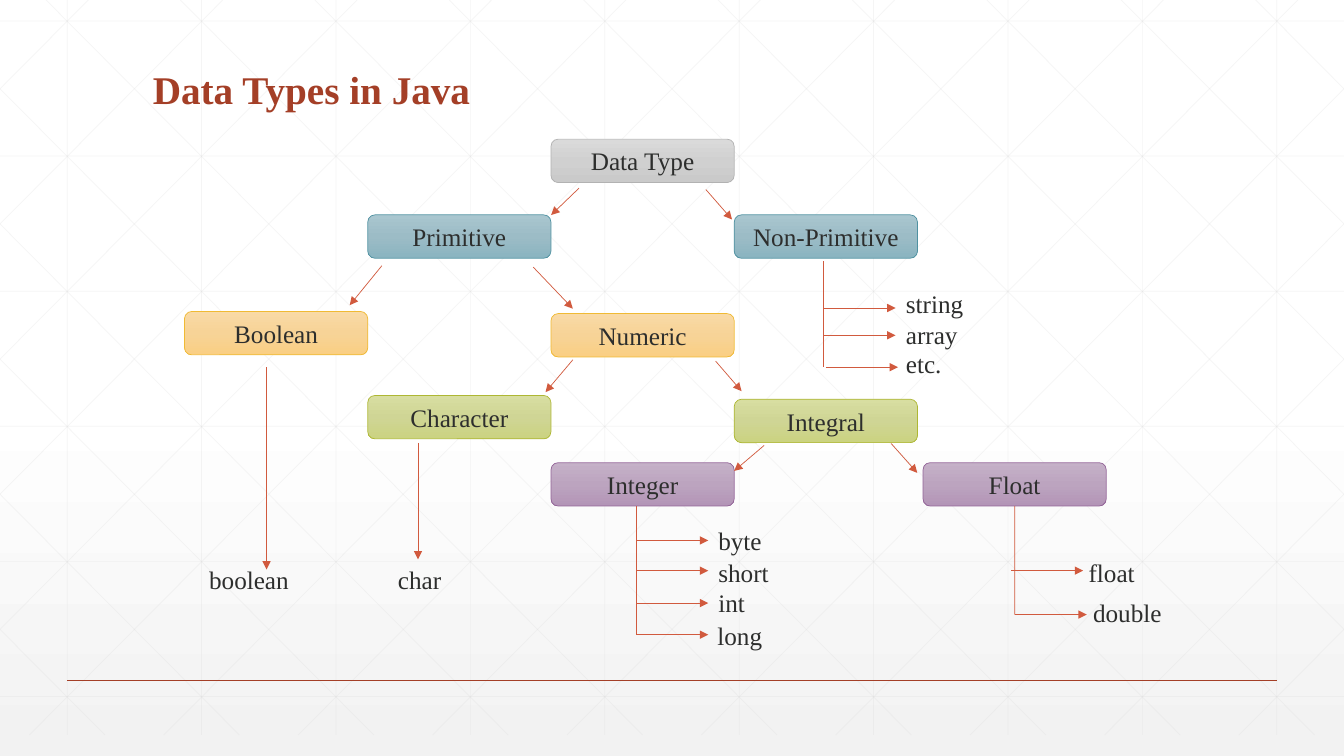
"""Build the slide that shows the tree of data types in Java."""
from lxml import etree
from pptx import Presentation
from pptx import util as u
from pptx.dml import color
from pptx.enum import dml, shapes, text
from pptx.oxml import ns

WIDTH, HEIGHT = 960, 540
FONT = "Times New Roman"
COLORS = {"title": "A43F27", "ink": "2D2E2D", "arrow": "D15A3E", "grid": "D9D9D9"}
BACKGROUND = [(0, "FFFFFF"), (53, "FFFFFF"), (100, "F2F2F2")]

PALETTES = {
    "gray": (["DADADA", "D0D0D0", "CACACA"], "B2B2B2"),
    "teal": (["A9C6CF", "9CBCC6", "8AB4C0"], "4F91A1"),
    "amber": (["F9DAA6", "F7D397", "FACF83"], "F0BA34"),
    "lime": (["D8DEA1", "CFD595", "CBD381"], "AEB733"),
    "plum": (["C5B1C8", "BCA4BF", "B395B7"], "926397"),
}

BOX_LEFT, BOX_WIDTH, BOX_HEIGHT = 131.8, 130.9, 31
NODES = [
    ("Data Type", 2, 99.4, "gray"),
    ("Primitive", 1, 153.5, "teal"),
    ("Non-Primitive", 3, 153.5, "teal"),
    ("Boolean", 0, 222.5, "amber"),
    ("Numeric", 2, 224, "amber"),
    ("Integral", 3, 285.2, "lime"),
    ("Character", 1, 282.5, "lime"),
    ("Float", 4.03, 330.5, "plum"),
    ("Integer", 2, 330.5, "plum"),
]

LEAF_WIDTH, LEAF_HEIGHT, BRANCH = 96.5, 29, 51.5
LEAVES = [
    ("boolean", 142.3, 399.8, None),
    ("char", 277.2, 399.8, None),
    ("byte", 506, 371.7, (454.4, 386)),
    ("short", 506, 394.6, (454.4, 407.6)),
    ("int", 506, 416.2, (454.4, 430.8)),
    ("long", 505.4, 439.2, (454.4, 453.4)),
    ("float", 770.5, 394.6, (722.2, 407.6)),
    ("double", 773.7, 423.4, (724.8, 439)),
    ("string", 640, 202.6, (588.2, 220)),
    ("array", 640, 224.6, (588.2, 239.5)),
    ("etc.", 640, 245.6, (590, 262.3)),
]

ARROWS = [
    (190.4, 262.2, 190.4, 406.8),
    (298.6, 316.4, 298.6, 399.6),
    (413.6, 134.4, 393.7, 153.6),
    (504.2, 135.4, 522.9, 156.8),
    (272.8, 189.8, 249.8, 218),
    (380.9, 190.8, 409.2, 220.5),
    (409.2, 257, 389.7, 280.1),
    (511.2, 258, 529.7, 279.4),
    (545.8, 318.2, 524.4, 336.4),
    (636.6, 316.8, 655.2, 337.8),
]
STEMS = {
    "Integer": (454.4, 361.5, 454.4, 453.4),
    "Float": (724.8, 361.5, 724.8, 439),
    "Non-Primitive": (588.2, 186.6, 588.2, 262.3),
}

GRID_STEP, GRID_TOP, GRID_BOTTOM = 96, -15, 525
DIAGONAL_RUN = 537


def rgb(value):
    """Turn a hex string into a colour."""
    return color.RGBColor.from_string(value)


def blend(owner, fill, stops):
    """Give a fill a gradient from top to bottom."""
    fill.gradient()
    fill.gradient_angle = 270
    stop_list = owner.element.find(".//" + ns.qn("a:gsLst"))
    for stop in list(stop_list):
        stop_list.remove(stop)
    for place, value in stops:
        stop = etree.SubElement(stop_list, ns.qn("a:gs"), pos=str(place * 1000))
        etree.SubElement(stop, ns.qn("a:srgbClr"), val=value)


def add_line(page, ends, tint, weight=0.5, arrow=False, opacity=None):
    """Draw a straight line between two points."""
    line = page.shapes.add_connector(
        shapes.MSO_CONNECTOR.STRAIGHT, *[u.Pt(end) for end in ends])
    line.line.width = u.Pt(weight)
    line.line.color.rgb = rgb(tint)
    properties = line.element.spPr
    outline = properties.find(ns.qn("a:ln"))
    if opacity:
        shade = outline.find(".//" + ns.qn("a:srgbClr"))
        etree.SubElement(shade, ns.qn("a:alpha"), val=str(opacity * 1000))
    if arrow:
        etree.SubElement(outline, ns.qn("a:tailEnd"), type="triangle")
    etree.SubElement(properties, ns.qn("a:effectLst"))
    return line


def write(frame, words, size, tint, bold=False, align=text.PP_ALIGN.LEFT):
    """Put one formatted run into a text frame."""
    frame.word_wrap = True
    para = frame.paragraphs[0]
    para.alignment = align
    span = para.add_run()
    span.text = words
    span.font.name = FONT
    span.font.size = u.Pt(size)
    span.font.bold = bold
    span.font.color.rgb = rgb(tint)
    return para


def grid_lines():
    """Yield the ends of the upright, level and slanted grid lines."""
    for column in range(10):
        x = 48 + column * GRID_STEP
        yield x, 0, x, GRID_BOTTOM
    for row in range(6):
        y = 15 + row * 96.5
        yield 0, y, WIDTH, y
    slope = (GRID_BOTTOM - GRID_TOP) / DIAGONAL_RUN
    for step in range(-5, 10):
        start = 18 + step * GRID_STEP
        left = max(start - GRID_TOP / slope, 0)
        right = min(start + DIAGONAL_RUN, WIDTH)
        upper, lower = [GRID_TOP + (x - start) * slope for x in (left, right)]
        yield left, upper, right, lower
        yield WIDTH - left, upper, WIDTH - right, lower


def add_title(page):
    """Place and fill the title."""
    title = page.shapes.title
    title.element.getparent().append(title.element)
    title.left, title.top, title.width, title.height = map(u.Pt, (102, 39.6, 756, 44.6))
    title.text_frame.auto_size = text.MSO_AUTO_SIZE.NONE
    title.text_frame.vertical_anchor = text.MSO_ANCHOR.BOTTOM
    para = write(title.text_frame, "Data Types in Java", 28, COLORS["title"], bold=True)
    para.line_spacing = 0.9


def add_node(page, name, column, top, palette):
    """Draw one rounded box of the tree."""
    left = BOX_LEFT + column * BOX_WIDTH
    box = page.shapes.add_shape(
        shapes.MSO_SHAPE.ROUNDED_RECTANGLE,
        *map(u.Pt, (left, top, BOX_WIDTH, BOX_HEIGHT)))
    box.shadow.inherit = False
    tints, edge = PALETTES[palette]
    blend(box, box.fill, zip((0, 50, 100), tints))
    box.line.color.rgb = rgb(edge)
    box.line.width = u.Pt(0.5)
    box.text_frame.vertical_anchor = text.MSO_ANCHOR.MIDDLE
    write(box.text_frame, name, 18, COLORS["ink"], align=text.PP_ALIGN.CENTER)
    return box


def main():
    """Assemble and save the deck."""
    deck = Presentation()
    deck.slide_width, deck.slide_height = u.Pt(WIDTH), u.Pt(HEIGHT)
    page = deck.slides.add_slide(deck.slide_layouts[5])
    blend(page, page.background.fill, BACKGROUND)
    for ends in grid_lines():
        add_line(page, ends, COLORS["grid"], opacity=25)
    add_line(page, (48, 486, 912, 486), COLORS["title"], weight=1)
    add_title(page)
    boxes = {node[0]: add_node(page, *node) for node in NODES}
    for name, left, top, branch in LEAVES:
        box = page.shapes.add_textbox(*map(u.Pt, (left, top, LEAF_WIDTH, LEAF_HEIGHT)))
        write(box.text_frame, name, 18, COLORS["ink"])
        if branch:
            x, y = branch
            add_line(page, (x, y, x + BRANCH, y), COLORS["arrow"], arrow=True)
    for ends in ARROWS:
        add_line(page, ends, COLORS["arrow"], arrow=True)
    stems = {name: add_line(page, ends, COLORS["arrow"]) for name, ends in STEMS.items()}
    stems["Float"].begin_connect(boxes["Float"], 2)
    deck.save("out.pptx")


if __name__ == "__main__":
    main()
